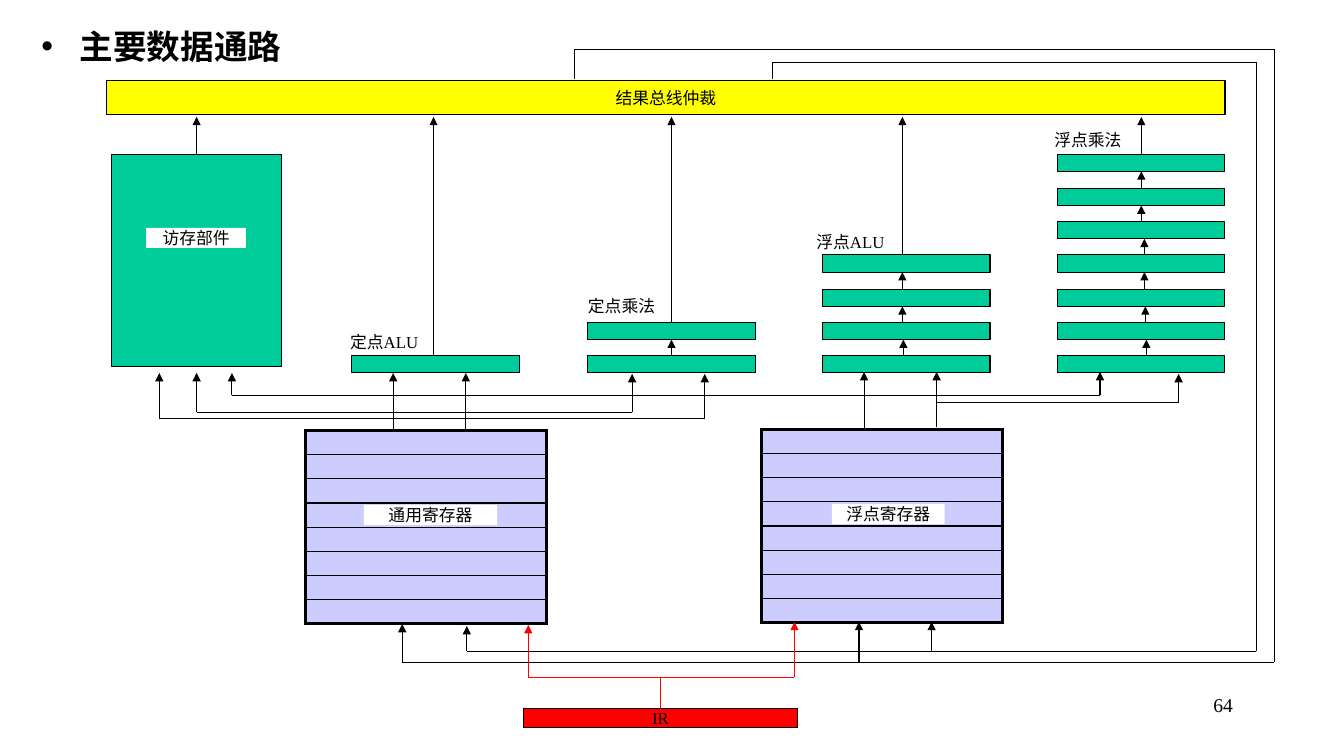
from itertools import pairwise

from lxml import etree
from pptx import Presentation
from pptx.dml.color import RGBColor
from pptx.enum.shapes import MSO_CONNECTOR, MSO_SHAPE
from pptx.enum.text import MSO_ANCHOR, MSO_AUTO_SIZE, PP_ALIGN
from pptx.oxml.ns import qn
from pptx.util import Pt

STRAIGHT = MSO_CONNECTOR.STRAIGHT
RECTANGLE = MSO_SHAPE.RECTANGLE
MIDDLE = MSO_ANCHOR.MIDDLE
NO_FIT = MSO_AUTO_SIZE.NONE
LEFT, CENTER, RIGHT = PP_ALIGN.LEFT, PP_ALIGN.CENTER, PP_ALIGN.RIGHT
TOP_SIDE, BOTTOM_SIDE = 0, 2
PX = 9144

THEME = {
    "font": "Times New Roman",
    "black": "000000",
    "white": "FFFFFF",
    "unit": "00CC99",
    "bus": "FFFF00",
    "instruction": "FF0000",
    "register": "CCCCFF",
    "title_size": 24,
    "number_size": 14,
    "label_size": 12,
    "cell_size": 8,
    "thin": 0.75,
    "row_rule": 1,
    "frame": 2.25,
}


def write(shape, text, size=THEME["label_size"], align=CENTER, bold=False):
    frame = shape.text_frame
    frame.word_wrap = True
    frame.auto_size = NO_FIT
    frame.vertical_anchor = MIDDLE
    frame.margin_left = frame.margin_right = 0
    frame.margin_top = frame.margin_bottom = 0
    paragraph = frame.paragraphs[0]
    paragraph.alignment = align
    run = paragraph.add_run()
    run.text = text
    run.font.size = Pt(size)
    run.font.bold = bold
    run.font.name = THEME["font"]
    run.font.color.rgb = RGBColor.from_string(THEME["black"])
    return paragraph


def wire(start, end, color="black", heads=()):
    line = slide.shapes.add_connector(STRAIGHT, *(v * PX for v in (*start, *end)))
    line.line.color.rgb = RGBColor.from_string(THEME[color])
    line.line.width = Pt(THEME["thin"])
    properties = line._element.spPr
    for head in heads:
        etree.SubElement(properties.find(qn("a:ln")), qn(f"a:{head}"), type="triangle")
    etree.SubElement(properties, qn("a:effectLst"))
    return line


prs = Presentation()
prs.slide_width, prs.slide_height = 1333 * PX, 750 * PX
slide = prs.slides.add_slide(prs.slide_layouts[5])

title = slide.shapes.title
title.left, title.top, title.width, title.height = (v * PX for v in (41, 17, 502, 54))
heading = write(title, "主要数据通路", size=THEME["title_size"], align=LEFT, bold=True)
heading.line_spacing = 1.1
heading_format = heading._p.get_or_add_pPr()
heading_format.set("marL", str(38 * PX))
heading_format.set("indent", str(-38 * PX))
etree.SubElement(heading_format, qn("a:buFont"), typeface="Arial")
etree.SubElement(heading_format, qn("a:buChar"), char="•")

REGISTER_WIDTH, REGISTER_ROW, REGISTER_COUNT = 239, 24, 8
for left, top in [(303, 427), (755, 426)]:
    registers = slide.shapes.add_table(
        REGISTER_COUNT, 1, left * PX, top * PX,
        REGISTER_WIDTH * PX, REGISTER_COUNT * REGISTER_ROW * PX).table
    registers.first_row = registers.horz_banding = False
    for index, row in enumerate(registers.rows):
        row.height = REGISTER_ROW * PX
        cell = row.cells[0]
        cell.margin_top = cell.margin_bottom = 0
        cell.fill.solid()
        cell.fill.fore_color.rgb = RGBColor.from_string(THEME["register"])
        etree.SubElement(cell.text_frame.paragraphs[0]._p, qn("a:endParaRPr"),
                         sz=str(THEME["cell_size"] * 100))
        top_rule = THEME["frame" if index == 0 else "row_rule"]
        bottom_rule = THEME["frame" if index == REGISTER_COUNT - 1 else "row_rule"]
        borders = {"lnL": THEME["frame"], "lnR": THEME["frame"],
                   "lnT": top_rule, "lnB": bottom_rule}
        for place, (side, width) in enumerate(borders.items()):
            border = etree.Element(qn(f"a:{side}"), w=str(Pt(width)))
            paint = etree.SubElement(border, qn("a:solidFill"))
            etree.SubElement(paint, qn("a:srgbClr"), val=THEME["black"])
            cell._tc.get_or_add_tcPr().insert(place, border)

STAGE_WIDTH, STAGE_HEIGHT = 166, 17
BUS_ARROW_TOP = 116
pipelines = [
    (349, [], 430),
    (583, [666], 666),
    (816, [896, 895, 895], 895),
    (1049, [1137, 1136, 1135, 1135, 1133, 1131], 1132),
]
stage_tops = [353 - step * 100 // 3 for step in range(7)]

boxes = [
    ("", 111, 153, 168, 211, "unit", True),
    ("结果总线仲裁", 106, 80, 1109, 34, "bus", True),
    ("IR", 519, 703, 272, 19, "instruction", True),
    ("访存部件", 145, 226, 99, 20, "white", False),
    ("通用寄存器", 361, 501, 132, 20, "white", False),
    ("浮点寄存器", 825, 500, 112, 20, "white", False),
    ("浮点ALU", 795, 230, 97, 20, None, False),
    ("定点ALU", 334, 329, 94, 20, None, False),
    ("定点乘法", 565, 293, 103, 20, None, False),
    ("浮点乘法", 1033, 129, 92, 20, None, False),
    ("64", 955, 688, 268, 22, None, False),
]
for left, links, _ in pipelines:
    for top in stage_tops[:len(links) + 1]:
        boxes.append(("", left, top, STAGE_WIDTH, STAGE_HEIGHT, "unit", True))

placed = {}
for text, left, top, width, height, fill, outlined in boxes:
    area = [v * PX for v in (left, top, width, height)]
    if fill:
        box = slide.shapes.add_shape(RECTANGLE, *area)
        box.shadow.inherit = False
        box.fill.solid()
        box.fill.fore_color.rgb = RGBColor.from_string(THEME[fill])
        if outlined:
            box.line.color.rgb = RGBColor.from_string(THEME["black"])
            box.line.width = Pt(THEME["thin"])
        else:
            box.line.fill.background()
    else:
        box = slide.shapes.add_textbox(*area)
    if text == "64":
        write(box, text, size=THEME["number_size"], align=RIGHT)
    elif text:
        write(box, text)
    placed[left, top] = box

for left, links, result_x in pipelines:
    center = left + STAGE_WIDTH // 2
    for x, (lower, upper) in zip(links, pairwise(stage_tops)):
        link = wire((x, lower), (x, upper + STAGE_HEIGHT), heads=["tailEnd"])
        if abs(x - center) <= 1:
            link.begin_connect(placed[left, lower], TOP_SIDE)
            link.end_connect(placed[left, upper], BOTTOM_SIDE)
    last_top = stage_tops[len(links)]
    result = wire((result_x, last_top), (result_x, BUS_ARROW_TOP), heads=["tailEnd"])
    if result_x == center:
        result.begin_connect(placed[left, last_top], TOP_SIDE)

memory_result = wire((195, 153), (195, BUS_ARROW_TOP), heads=["tailEnd"])
memory_result.begin_connect(placed[111, 153], TOP_SIDE)
instruction_stem = wire((655, 703), (655, 672), color="instruction")
instruction_stem.begin_connect(placed[519, 703], TOP_SIDE)

routes = [
    ("black", True, [(158, 370), (158, 415), (699, 415), (699, 371)]),
    ("black", True, [(195, 370), (195, 409), (627, 409), (627, 371)]),
    ("black", True, [(230, 370), (230, 392), (1091, 392), (1091, 369)]),
    ("black", False, [(929, 399), (1169, 399), (1169, 371)]),
    ("black", False, [(390, 427), (390, 370)]),
    ("black", False, [(462, 427), (462, 370)]),
    ("black", False, [(857, 426), (857, 369)]),
    ("black", False, [(929, 424), (929, 369)]),
    ("black", False, [(570, 78), (570, 49), (1264, 49), (1264, 657), (399, 657), (399, 619)]),
    ("black", False, [(766, 78), (766, 62), (1246, 62), (1246, 646), (463, 646), (463, 621)]),
    ("black", False, [(852, 657), (852, 617)]),
    ("black", False, [(924, 646), (924, 617)]),
    ("instruction", True, [(524, 620), (524, 672), (788, 672), (788, 617)]),
]
for color, both_ends, points in routes:
    for start, end in pairwise(points):
        heads = ["headEnd"] if both_ends and start == points[0] else []
        if end == points[-1]:
            heads.append("tailEnd")
        wire(start, end, color=color, heads=heads)

prs.save("out.pptx")
